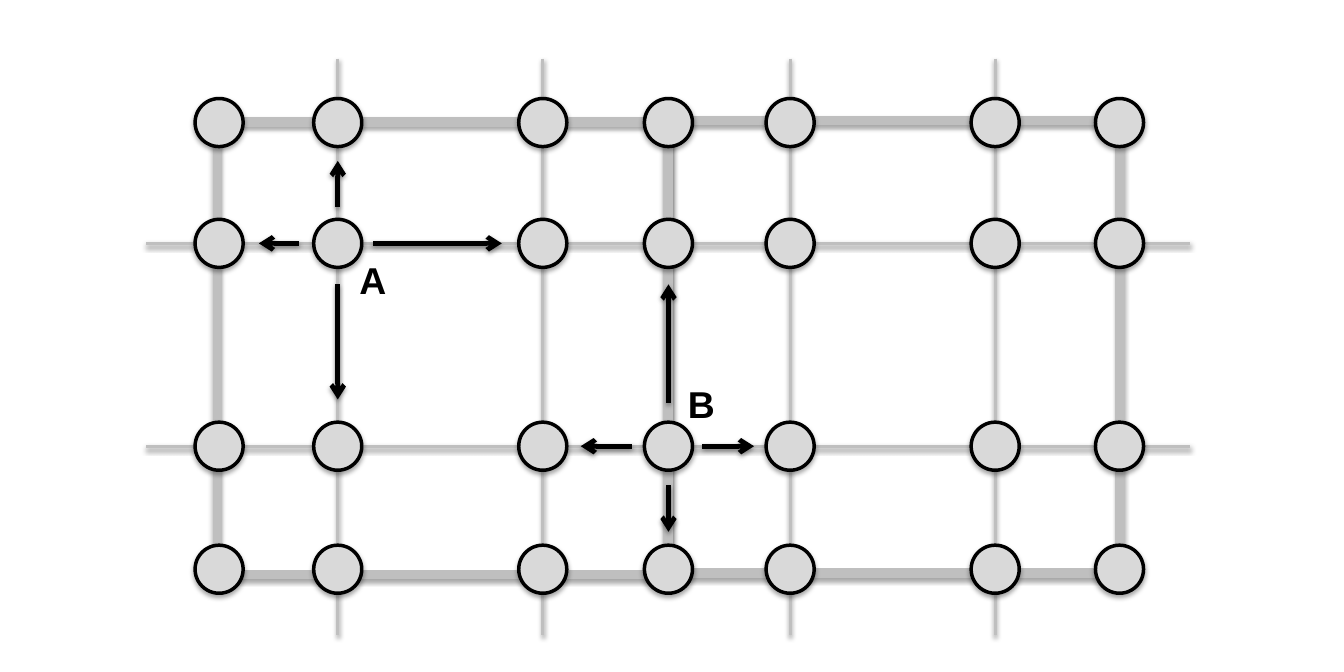
from dataclasses import dataclass

from lxml.etree import SubElement
from pptx import Presentation
from pptx.dml.color import RGBColor
from pptx.enum.shapes import MSO_CONNECTOR, MSO_SHAPE
from pptx.enum.text import MSO_AUTO_SIZE
from pptx.oxml.ns import qn
from pptx.util import Cm, Pt


@dataclass(frozen=True)
class Theme:
    """Colours, type and line widths of the slide."""
    wire: RGBColor = RGBColor(0xBF, 0xBF, 0xBF)
    node: RGBColor = RGBColor(0xD9, 0xD9, 0xD9)
    ink: RGBColor = RGBColor(0, 0, 0)
    font: str = "Arial"
    label: Pt = Pt(24)
    thin: Pt = Pt(2)
    rim: Pt = Pt(2.25)
    bold: Pt = Pt(3)
    thick: Pt = Pt(6)


THEME = Theme()
COLS = (0, 2.69, 7.34, 10.19, 12.95, 17.6, 20.42)
ROWS = (0, 2.74, 7.34, 10.13)
DIRS = {"right": (1, 0), "down": (0, 1), "up": (0, -1), "left": (-1, 0)}
SIZE = 1.09


def shade(item, dist, alpha):
    """Give an item a soft shadow straight below it."""
    props = item._element.spPr
    effects = props.find(qn("a:effectLst"))
    if effects is None:
        effects = SubElement(props, qn("a:effectLst"))
    glow = SubElement(effects, qn("a:outerShdw"), blurRad=str(Pt(3.1)),
                      dist=str(Pt(dist)), dir="5400000", rotWithShape="0")
    color = SubElement(glow, qn("a:srgbClr"), val="000000")
    SubElement(color, qn("a:alpha"), val=str(alpha * 1000))


def add_line(slide, start, end, color, width, arrow=False):
    """Draw a shaded line, with an arrowhead at its end if asked."""
    points = [Cm(v) for v in (*start, *end)]
    line = slide.shapes.add_connector(MSO_CONNECTOR.STRAIGHT, *points)
    line.line.color.rgb = color
    line.line.width = width
    if arrow:
        SubElement(line.line._get_or_add_ln(), qn("a:tailEnd"), type="arrow")
    shade(line, 1.6, 38)


def add_form(slide, kind, box, color, width, fill=None):
    """Draw a shaded outline shape, filled if a fill is given."""
    form = slide.shapes.add_shape(kind, *[Cm(v) for v in box])
    form.shadow.inherit = False
    if fill is None:
        form.fill.background()
    else:
        form.fill.solid()
        form.fill.fore_color.rgb = fill
    form.line.color.rgb = color
    form.line.width = width
    shade(form, 1.8, 35)


def add_mesh(slide, left, top):
    """Draw the wires, the two frames and the nodes of the grid."""
    def draw_cols(picks):
        for col in picks:
            x = left + COLS[col]
            add_line(slide, (x, top - 1.45), (x, top + 11.63),
                     THEME.wire, THEME.thin)

    def draw_frame(x, y):
        add_form(slide, MSO_SHAPE.RECTANGLE, (x, y, 10.24, 10.26),
                 THEME.wire, THEME.thick)

    draw_cols((1, 2))
    draw_frame(left - 0.04, top - 0.01)
    draw_cols((4, 5))
    for row in ROWS[1:3]:
        add_line(slide, (left + 22.01, top + row), (left - 1.66, top + row),
                 THEME.wire, THEME.thin)
    draw_frame(left + COLS[3], top - 0.04)
    for row in ROWS:
        for col in COLS:
            box = (left + col - SIZE / 2, top + row - SIZE / 2, SIZE, SIZE)
            add_form(slide, MSO_SHAPE.OVAL, box,
                     THEME.ink, THEME.rim, THEME.node)


def add_moves(slide, x, y, name, shift, spans):
    """Label the node centred at x, y and draw the arrows leaving it."""
    box = (x + shift[0], y + shift[1], 1.14, 1.27)
    label = slide.shapes.add_textbox(*[Cm(v) for v in box])
    frame = label.text_frame
    frame.word_wrap = False
    frame.auto_size = MSO_AUTO_SIZE.SHAPE_TO_FIT_TEXT
    para = frame.paragraphs[0]
    para.text = name
    para.font.name = THEME.font
    para.font.size = THEME.label
    para.font.bold = True
    para.font.color.rgb = THEME.ink
    for way, (near, far) in spans.items():
        dx, dy = DIRS[way]
        add_line(slide, (x + dx * near, y + dy * near),
                 (x + dx * far, y + dy * far), THEME.ink, THEME.bold, True)


def main():
    """Build and save the slide."""
    deck = Presentation()
    deck.slide_width, deck.slide_height = Cm(30.48), Cm(15.24)
    slide = deck.slides.add_slide(deck.slide_layouts[6])
    left, top = 4.97, 2.78
    add_mesh(slide, left, top)
    add_moves(slide, left + COLS[1], top + ROWS[1], "A", (0.24, 0.19),
              {"right": (0.8, 3.72), "down": (0.93, 3.54),
               "up": (0.83, 1.87), "left": (0.88, 1.79)})
    add_moves(slide, left + COLS[3], top + ROWS[2], "B", (0.19, -1.61),
              {"right": (0.77, 1.94), "up": (0.98, 3.67),
               "left": (0.83, 1.99), "down": (0.88, 1.94)})
    deck.save("out.pptx")


if __name__ == "__main__":
    main()
